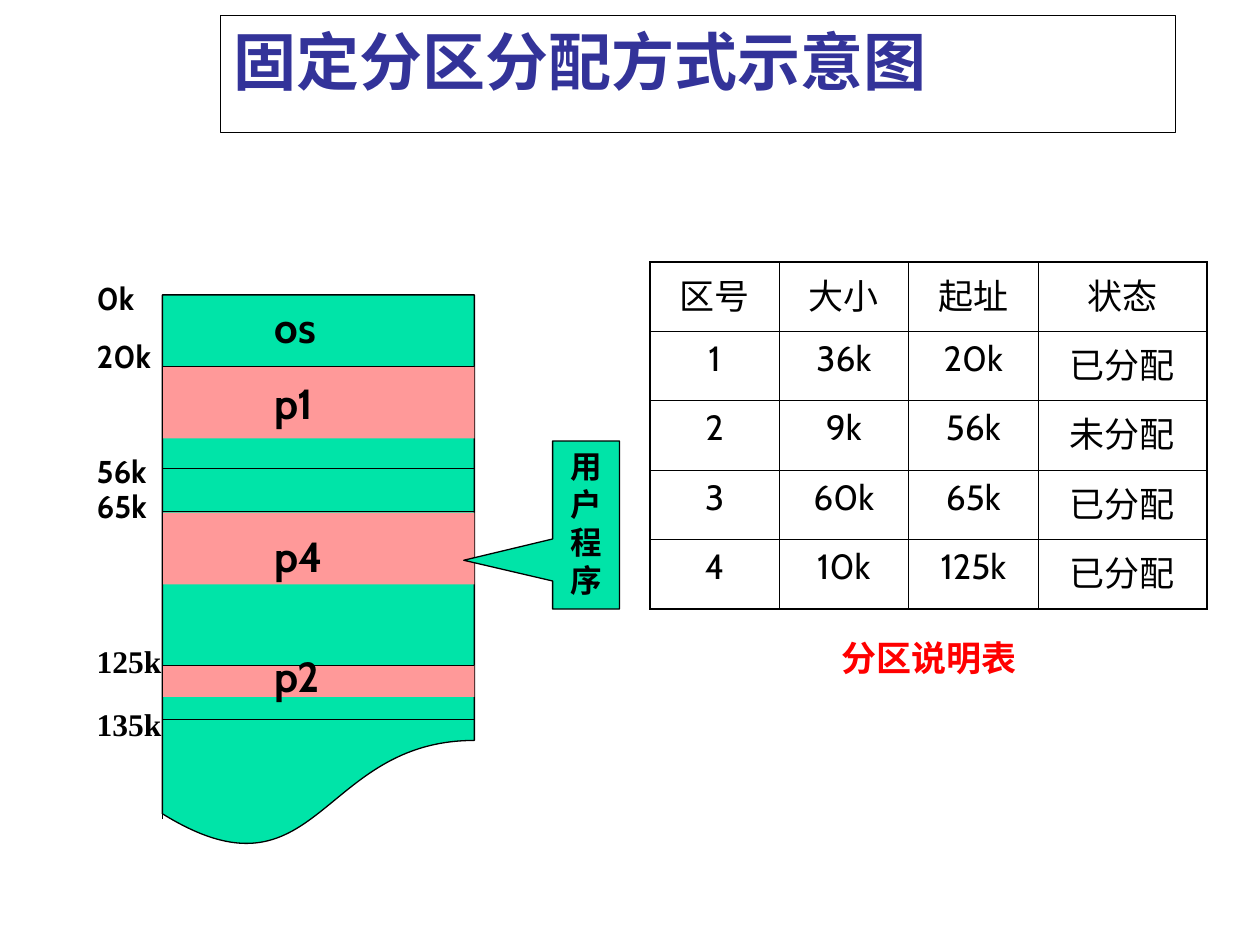
from lxml.etree import SubElement
from pptx import Presentation
from pptx.dml.color import RGBColor
from pptx.enum.shapes import MSO_CONNECTOR, MSO_SHAPE
from pptx.enum.text import MSO_ANCHOR, PP_ALIGN
from pptx.oxml.ns import qn
from pptx.util import Pt

TITLE = "固定分区分配方式示意图"
CAPTION = "分区说明表"
CALLOUT = "用户程序"
CJK, LATIN, SERIF = "Noto Sans CJK SC", "Cabin", "Times New Roman"
BLACK, WHITE, GREEN, PINK = "000000", "FFFFFF", "00E4A8", "FF9999"

MEMORY_LEFT, MEMORY_TOP, MEMORY_WIDTH, MEMORY_HEIGHT = 92.8, 168.5, 178.3, 317.5
PROGRAMS = [("p1", 209.5, 41, 212.4), ("p4", 293, 41, 299.5), ("p2", 380.2, 18, 367.9)]
BOUNDARIES = [209.5, 267.8, 292.3, 380.2, 411.1]
ADDRESSES = [("0k", 0, LATIN), ("20k", 15, LATIN), ("56k", 47.7, LATIN),
             ("65k", 2, LATIN), ("125k", 70.6, SERIF), ("135k", 18, SERIF)]

PARTITIONS = [
    ("区号", "大小", "起址", "状态"),
    ("1", "36k", "20k", "已分配"),
    ("2", "9k", "56k", "未分配"),
    ("3", "60k", "65k", "已分配"),
    ("4", "10k", "125k", "已分配"),
]
COLUMN_WIDTHS = [73.7, 74, 74, 96.5]
ROW_HEIGHT = 39.6


def color(value):
    return RGBColor.from_string(value)


def write(para, text, size=18, font=LATIN, asian=None, ink=BLACK, bold=True,
          align=PP_ALIGN.LEFT, before=0, line_height=None):
    para.alignment = align
    para.space_before = Pt(before)
    if line_height:
        para.line_spacing = Pt(line_height)
    span = para.add_run()
    span.text = text
    span.font.size = Pt(size)
    span.font.name = font
    span.font.bold = bold
    span.font.color.rgb = color(ink)
    SubElement(span.font._element, qn("a:ea"), typeface=asian or font)


def add_text(text, left, top, width, height, **style):
    box = page.shapes.add_textbox(Pt(left), Pt(top), Pt(width), Pt(height))
    box.text_frame.word_wrap = True
    write(box.text_frame.paragraphs[0], text, **style)
    return box


def add_block(kind, left, top, width, height, fill, outlined=True):
    block = page.shapes.add_shape(kind, Pt(left), Pt(top), Pt(width), Pt(height))
    block.shadow.inherit = False
    paint(block, fill, outlined)
    return block


def paint(shape, fill, outlined=True):
    shape.fill.solid()
    shape.fill.fore_color.rgb = color(fill)
    if outlined:
        shape.line.color.rgb = color(BLACK)
        shape.line.width = Pt(0.75)
    else:
        shape.line.fill.background()


def add_line(x1, y1, x2, y2):
    line = page.shapes.add_connector(MSO_CONNECTOR.STRAIGHT, Pt(x1), Pt(y1), Pt(x2), Pt(y2))
    line.line.color.rgb = color(BLACK)
    line.line.width = Pt(0.75)
    SubElement(line._element.spPr, qn("a:effectLst"))


def add_border(cell, side, width):
    border = SubElement(cell._tc.get_or_add_tcPr(), qn(f"a:ln{side}"), w=str(Pt(width)))
    fill = SubElement(border, qn("a:solidFill"))
    SubElement(fill, qn("a:srgbClr"), val=BLACK)


deck = Presentation()
deck.slide_width, deck.slide_height = Pt(720), Pt(540)
page = deck.slides.add_slide(deck.slide_layouts[5])

title = page.shapes.title
title.left, title.top, title.width, title.height = Pt(126), Pt(9), Pt(545.8), Pt(66.8)
paint(title, WHITE)
title.text_frame.vertical_anchor = MSO_ANCHOR.TOP
write(title.text_frame.paragraphs[0], TITLE, size=36, font=CJK, ink="333399")

add_block(MSO_SHAPE.FLOWCHART_DOCUMENT, MEMORY_LEFT, MEMORY_TOP, MEMORY_WIDTH, MEMORY_HEIGHT, GREEN)
add_text("os", 150, MEMORY_TOP, 51, 36, size=24)
for name, top, height, label_top in PROGRAMS:
    add_block(MSO_SHAPE.RECTANGLE, MEMORY_LEFT, top, MEMORY_WIDTH, height, PINK, outlined=False)
    add_text(name, 150, label_top, 51, 36, size=24)
for y in BOUNDARIES:
    add_line(MEMORY_LEFT, y, MEMORY_LEFT + MEMORY_WIDTH, y)
add_line(MEMORY_LEFT, 468, MEMORY_LEFT, MEMORY_TOP)

callout = add_block(MSO_SHAPE.RECTANGULAR_CALLOUT, 315.8, 252, 38.2, 96, GREEN)
callout.adjustments[0], callout.adjustments[1] = -1.83, 0.21
callout.text_frame.word_wrap = True
callout.text_frame.vertical_anchor = MSO_ANCHOR.TOP
write(callout.text_frame.paragraphs[0], CALLOUT, align=PP_ALIGN.CENTER)

for index, (address, gap, font) in enumerate(ADDRESSES):
    if index == 0:
        addresses = add_text(address, 48.2, 159.5, 57.6, 269, font=font, line_height=18)
    else:
        write(addresses.text_frame.add_paragraph(), address, font=font, before=gap, line_height=18)

row_count, column_count = len(PARTITIONS), len(COLUMN_WIDTHS)
table = page.shapes.add_table(row_count, column_count, Pt(371.5), Pt(149.8),
                              Pt(sum(COLUMN_WIDTHS)), Pt(ROW_HEIGHT * row_count)).table
table.first_row = table.horz_banding = False
for column, width in zip(table.columns, COLUMN_WIDTHS):
    column.width = Pt(width)
for i, values in enumerate(PARTITIONS):
    table.rows[i].height = Pt(ROW_HEIGHT)
    for j, value in enumerate(values):
        cell = table.cell(i, j)
        write(cell.text_frame.paragraphs[0], value, size=20, asian=CJK, bold=False,
              align=PP_ALIGN.CENTER)
        outer = {"L": j == 0, "R": j == column_count - 1, "T": i == 0, "B": i == row_count - 1}
        for side, is_outer in outer.items():
            add_border(cell, side, 1.08 if is_outer else 0.45)
        cell.fill.background()

add_text(CAPTION, 473.8, 360, 149.8, 31.7, size=20, ink="FF0000")

deck.save("out.pptx")
